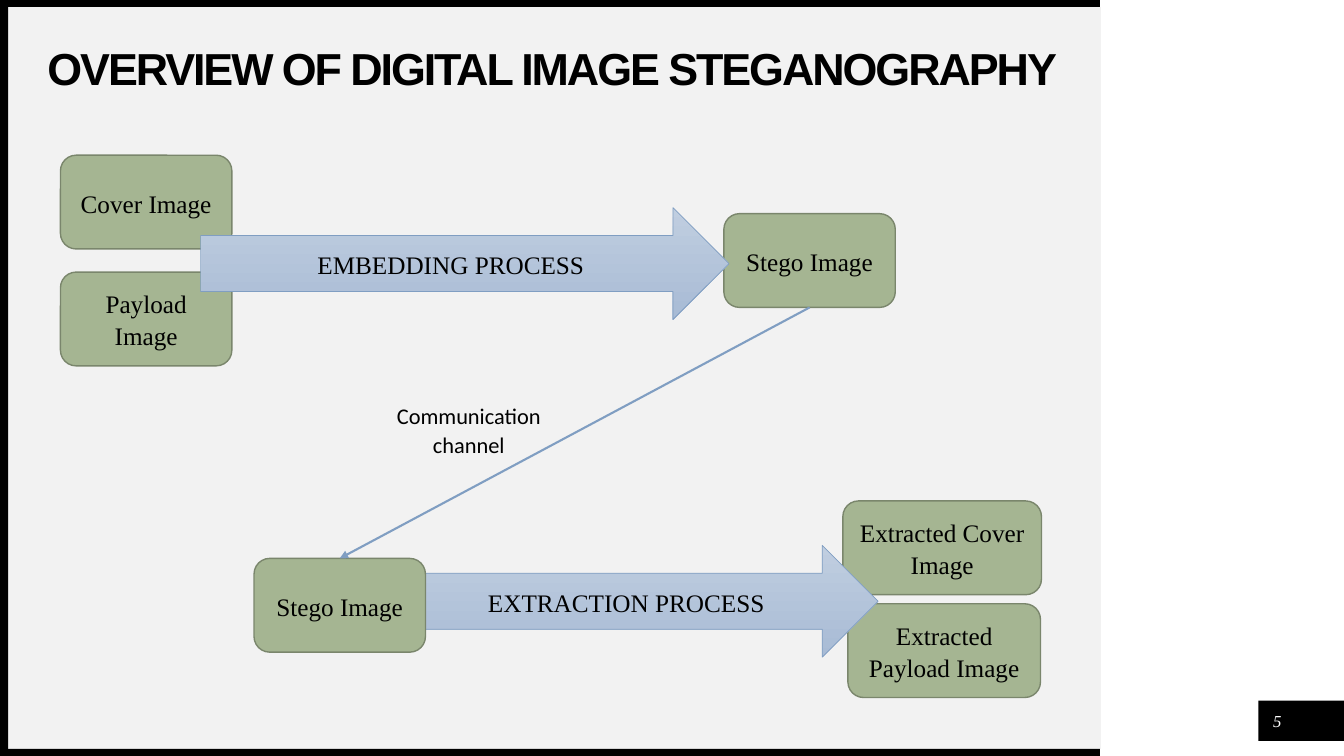
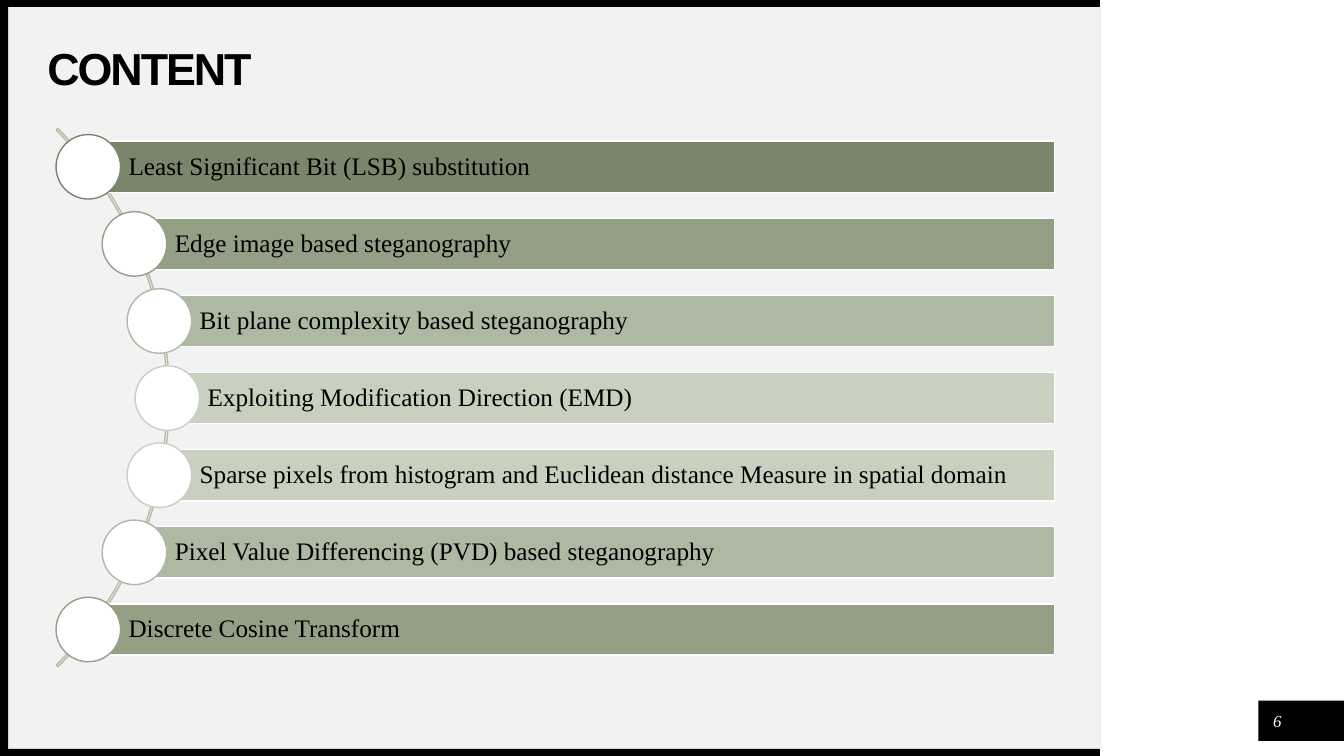
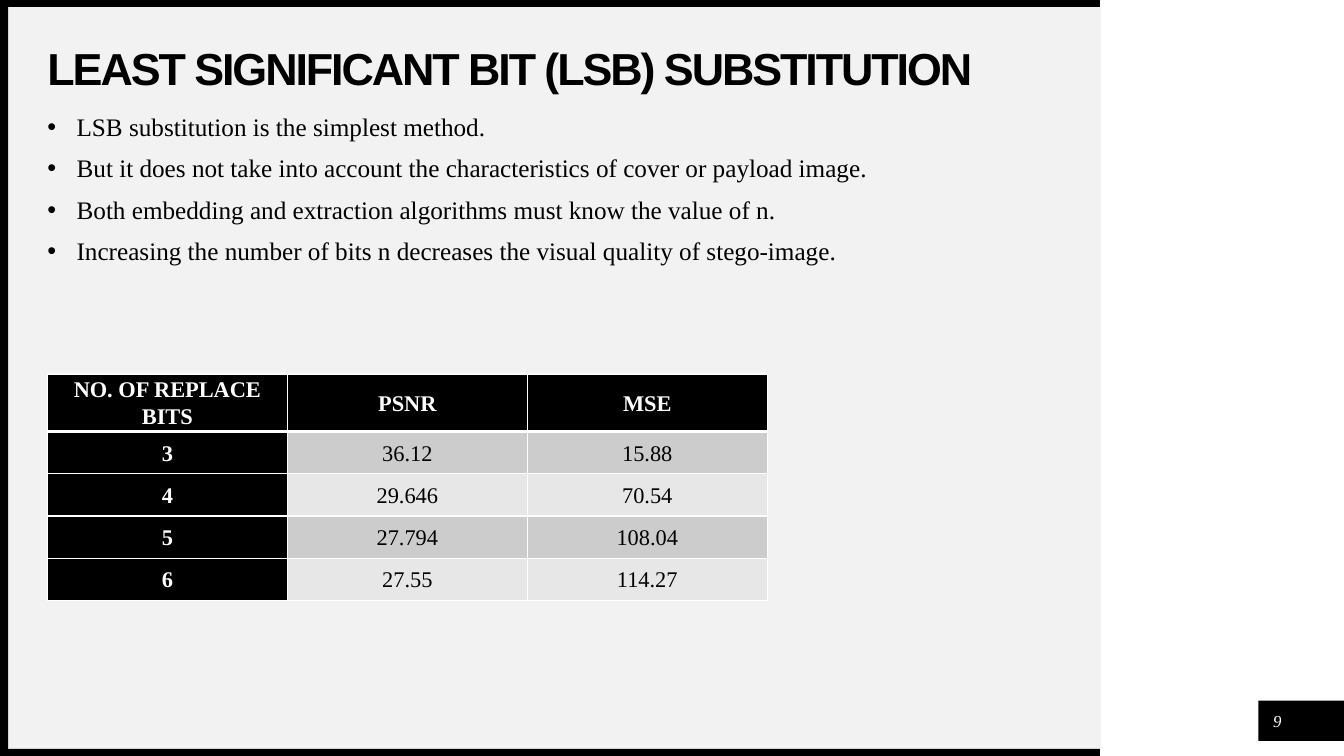
from dataclasses import dataclass
from math import sqrt

from lxml import etree
from pptx import Presentation
from pptx.dml.color import RGBColor
from pptx.enum.shapes import MSO_CONNECTOR, MSO_SHAPE
from pptx.enum.text import MSO_ANCHOR, PP_ALIGN
from pptx.oxml.ns import qn
from pptx.util import Inches, Pt

BLACK, WHITE = "000000", "FFFFFF"
PANEL = "F2F2F2"
BOX_FILL, BOX_LINE = "A5B592", "7A866C"
BLUE, ARROW_TOP, ARROW_BOTTOM = "809EC2", "C0CEE0", "A8BBD5"
SERIF, SANS, LABEL = "Times New Roman", "Arial", "Calibri"
LEFT, CENTER = PP_ALIGN.LEFT, PP_ALIGN.CENTER
MIDDLE, TOP = MSO_ANCHOR.MIDDLE, MSO_ANCHOR.TOP
MARGIN, CONTENT_W = 0.47, 10.06
NO_INSETS = (0, 0, 0, 0)


@dataclass
class Box:
    text: str
    x: float
    y: float
    w: float = 1.7
    h: float = 0.93


@dataclass
class Topic:
    text: str
    color: str


SOURCES = [Box("Cover Image", 0.6, 1.54), Box("Payload Image", 0.6, 2.7)]
SENT = Box("Stego Image", 7.18, 2.12)
RECEIVED = Box("Stego Image", 2.52, 5.54)
RESULTS = [
    Box("Extracted Cover Image", 8.36, 4.97, 1.97),
    Box("Extracted Payload Image", 8.41, 5.99, 1.91),
]
EMBEDDING = Box("EMBEDDING PROCESS", 1.99, 2.06, 5.24, 1.11)
EXTRACTION = Box("EXTRACTION PROCESS", 3.99, 5.41, 4.72, 1.11)

TOPICS = [
    Topic("Least Significant Bit (LSB) substitution", "7A866C"),
    Topic("Edge image based steganography", "94A086"),
    Topic("Bit plane complexity based steganography", "AEB9A3"),
    Topic("Exploiting Modification Direction (EMD)", "C9D0C0"),
    Topic("Sparse pixels from histogram and Euclidean distance Measure in spatial domain", "C9D0C0"),
    Topic("Pixel Value Differencing (PVD) based steganography", "AEB9A3"),
    Topic("Discrete Cosine Transform", "94A086"),
]

LSB_POINTS = [
    "LSB substitution is the simplest method.",
    "But it does not take into account the characteristics of cover or payload image.",
    "Both embedding and extraction algorithms must know the value of n.",
    "Increasing the number of bits n decreases the visual quality of stego-image.",
]
LSB_TABLE = [
    ("NO. OF REPLACE BITS", "PSNR", "MSE"),
    ("3", "36.12", "15.88"),
    ("4", "29.646", "70.54"),
    ("5", "27.794", "108.04"),
    ("6", "27.55", "114.27"),
]


def rgb(color: str) -> RGBColor:
    return RGBColor.from_string(color)


def write(p, text: str, *, align=LEFT, line_spacing=1.0, size=18, font=SERIF,
          color=BLACK, bold=False, italic=False, spacing=0.0):
    p.alignment, p.line_spacing = align, line_spacing
    r = p.add_run()
    r.text = text
    r.font.size, r.font.name = Pt(size), font
    r.font.bold, r.font.italic = bold, italic
    r.font.color.rgb = rgb(color)
    if spacing:
        r._r.get_or_add_rPr().set("spc", str(int(spacing * 100)))


def set_frame(tf, anchor=TOP, insets=(0.1, 0.05, 0.1, 0.05)):
    """Set wrapping, anchor and insets (left, top, right, bottom)."""
    tf.word_wrap = True
    tf.vertical_anchor = anchor
    tf.margin_left, tf.margin_top, tf.margin_right, tf.margin_bottom = map(Inches, insets)


def add_text_box(slide, x, y, w, h, anchor=TOP, insets=(0.1, 0.05, 0.1, 0.05)):
    tf = slide.shapes.add_textbox(Inches(x), Inches(y), Inches(w), Inches(h)).text_frame
    set_frame(tf, anchor, insets)
    return tf


def add_shape(slide, kind, x, y, w, h, fill=None, line=None, line_width=1.0):
    sp = slide.shapes.add_shape(kind, Inches(x), Inches(y), Inches(w), Inches(h))
    sp.shadow.inherit = False
    if fill:
        sp.fill.solid()
        sp.fill.fore_color.rgb = rgb(fill)
    else:
        sp.fill.background()
    if line:
        sp.line.color.rgb = rgb(line)
        sp.line.width = Pt(line_width)
    else:
        sp.line.fill.background()
    return sp


def build_layout(layout, slide):
    """Draw the shared panel and bands once and move them to the layout."""
    title = layout.placeholders.get(idx=0)
    for ph in list(layout.placeholders):
        if ph.placeholder_format.idx != 0:
            ph.element.getparent().remove(ph.element)
    panel = add_shape(slide, MSO_SHAPE.RECTANGLE, 0.08, 0.07, 10.84, 7.36, PANEL)
    number_tab = (12.48, 6.95, 0.85, 0.4)
    bands = [(0, 7.43, 10.91, 0.07), (0, 0, 10.91, 0.07), (0, 0, 0.08, 7.5)]
    shared = [panel] + [add_shape(slide, MSO_SHAPE.RECTANGLE, *at, BLACK) for at in [number_tab, *bands]]
    for sp in shared:
        title.element.addprevious(sp.element)


def add_titled_slide(prs, layout, title: str, number: int):
    slide = prs.slides.add_slide(layout)
    sp = slide.shapes.title
    sp.left, sp.top = Inches(MARGIN), Inches(0.47)
    sp.width, sp.height = Inches(CONTENT_W), Inches(0.47)
    set_frame(sp.text_frame, MIDDLE, NO_INSETS)
    write(sp.text_frame.paragraphs[0], title, line_spacing=0.9, size=32, font=SANS, bold=True, spacing=-1.5)
    tf = add_text_box(slide, 12.52, 7, 0.3, 0.3, MIDDLE, NO_INSETS)
    write(tf.paragraphs[0], str(number), align=CENTER, size=12, color=WHITE, italic=True)
    return slide


def add_box(slide, box: Box, kind=MSO_SHAPE.ROUNDED_RECTANGLE, line=BOX_LINE, line_width=1.0):
    sp = add_shape(slide, kind, box.x, box.y, box.w, box.h, BOX_FILL, line, line_width)
    set_frame(sp.text_frame, MIDDLE)
    write(sp.text_frame.paragraphs[0], box.text, align=CENTER, line_spacing=1.06)
    return sp


def add_process_arrow(slide, box: Box):
    sp = add_box(slide, box, MSO_SHAPE.RIGHT_ARROW, BLUE, 0.5)
    sp.fill.gradient()
    sp.fill.gradient_angle = 270
    for stop, color in zip(sp.fill.gradient_stops, (ARROW_TOP, ARROW_BOTTOM)):
        stop.color.rgb = rgb(color)


def add_channel(slide, start, end):
    """Join the bottom of one box to the top of another with an arrow."""
    line = slide.shapes.add_connector(MSO_CONNECTOR.STRAIGHT, 0, 0, 0, 0)
    line.begin_connect(start, 2)
    line.end_connect(end, 0)
    line.line.color.rgb = rgb(BLUE)
    line.line.width = Pt(1.5)
    etree.SubElement(line.line._get_or_add_ln(), qn("a:tailEnd"), type="triangle")
    etree.SubElement(line._element.spPr, qn("a:effectLst"))


def draw_overview(slide):
    for box in SOURCES + RESULTS:
        add_box(slide, box)
    sent = add_box(slide, SENT)
    add_process_arrow(slide, EMBEDDING)
    add_process_arrow(slide, EXTRACTION)
    received = add_box(slide, RECEIVED)
    tf = add_text_box(slide, 3.48, 3.92, 2.34, 1.15)
    write(tf.paragraphs[0], "Communication channel", align=CENTER, line_spacing=1.07, size=16, font=LABEL)
    add_channel(slide, sent, received)


def draw_topics(slide):
    """Hang the topic bars on an arc, each starting at its circle's centre."""
    bar_h, pitch, bar_right, circle = 0.51, 0.765, 10.46, 0.64
    center_x, center_y, radius = -2.09, 3.95, 3.75
    arc = add_shape(slide, MSO_SHAPE.BLOCK_ARC, -5.87, 0.17, 7.55, 7.55, line="B1BEA1")
    for i, value in enumerate((189, 27, 0.003)):
        arc.adjustments[i] = value
    for i, topic in enumerate(TOPICS):
        offset = (i - (len(TOPICS) - 1) / 2) * pitch
        x = center_x + sqrt(radius**2 - offset**2)
        y = center_y + offset
        bar = add_shape(slide, MSO_SHAPE.RECTANGLE, x, y - bar_h / 2, bar_right - x, bar_h, topic.color, WHITE)
        set_frame(bar.text_frame, MIDDLE, (0.4, 0.05, 0.05, 0.05))
        write(bar.text_frame.paragraphs[0], topic.text, line_spacing=0.9)
        add_shape(slide, MSO_SHAPE.OVAL, x - circle / 2, y - circle / 2, circle, circle, WHITE, topic.color)


def add_bullets(slide, items: list[str]):
    tf = add_text_box(slide, MARGIN, 1.14, CONTENT_W, 2.09, insets=NO_INSETS)
    for i, item in enumerate(items):
        p = tf.add_paragraph() if i else tf.paragraphs[0]
        pPr = p._p.get_or_add_pPr()
        pPr.set("marL", str(Inches(0.29)))
        pPr.set("indent", str(-Inches(0.29)))
        etree.SubElement(pPr, qn("a:buFont"), typeface=SANS)
        etree.SubElement(pPr, qn("a:buChar"), char="•")
        if i:
            p.space_before = Pt(10)
        write(p, item, line_spacing=0.9)


def set_borders(cell, top=1, bottom=1):
    tcPr = cell._tc.get_or_add_tcPr()
    for side, width in (("L", 1), ("R", 1), ("T", top), ("B", bottom)):
        ln = etree.SubElement(tcPr, qn(f"a:ln{side}"), w=str(Pt(width)))
        fill = etree.SubElement(ln, qn("a:solidFill"))
        etree.SubElement(fill, qn("a:srgbClr"), val=WHITE)


def add_result_table(slide, rows):
    col_w, row_h = 2.38, 0.42
    n_cols = len(rows[0])
    table = slide.shapes.add_table(
        len(rows), n_cols, Inches(MARGIN), Inches(3.71), Inches(col_w * n_cols), Inches(row_h * len(rows))
    ).table
    for i, row in enumerate(rows):
        for j, text in enumerate(row):
            cell = table.cell(i, j)
            header = i == 0 or j == 0
            set_borders(cell, top=3 if i == 1 else 1, bottom=3 if i == 0 else 1)
            cell.fill.solid()
            cell.fill.fore_color.rgb = rgb(BLACK if header else "CCCCCC" if i % 2 else "E7E7E7")
            cell.vertical_anchor = MIDDLE
            cell.margin_left = cell.margin_right = Inches(0.07)
            cell.margin_top = cell.margin_bottom = 0
            write(cell.text_frame.paragraphs[0], text, align=CENTER, line_spacing=1.07,
                  size=16, color=WHITE if header else BLACK, bold=header)


def main():
    prs = Presentation()
    prs.slide_width, prs.slide_height = Inches(13.33), Inches(7.5)
    layout = prs.slide_layouts.get_by_name("Title Only")

    overview = add_titled_slide(prs, layout, "OVERVIEW OF DIGITAL IMAGE STEGANOGRAPHY", 5)
    build_layout(layout, overview)
    draw_overview(overview)

    draw_topics(add_titled_slide(prs, layout, "CONTENT", 6))

    lsb = add_titled_slide(prs, layout, "LEAST SIGNIFICANT BIT (LSB) SUBSTITUTION", 9)
    add_bullets(lsb, LSB_POINTS)
    add_result_table(lsb, LSB_TABLE)

    prs.save("out.pptx")


if __name__ == "__main__":
    main()
